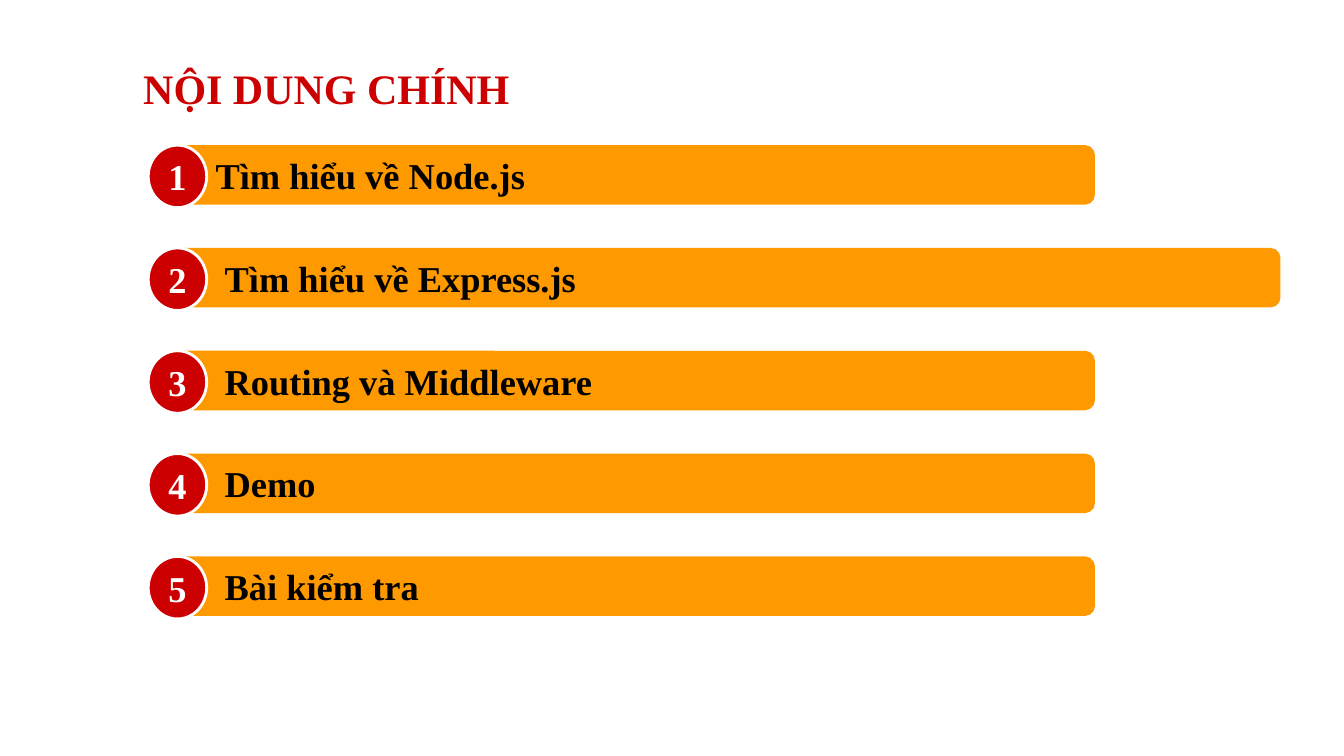
"""Build the agenda slide with a title and five numbered bars."""
import pptx
import pptx.dml.color
import pptx.enum.shapes
import pptx.enum.text
import pptx.util

SHAPE = pptx.enum.shapes.MSO_SHAPE
ALIGN = pptx.enum.text.PP_ALIGN
ANCHOR = pptx.enum.text.MSO_ANCHOR
FIT = pptx.enum.text.MSO_AUTO_SIZE
RED, ORANGE, WHITE, BLACK = "CC0000", "FF9900", "FFFFFF", "000000"
WIDE, NORMAL = 1102, 918
PITCH = 102
TOPICS = [
    ("Tìm hiểu về Node.js", NORMAL, 43),
    ("Tìm hiểu về Express.js", WIDE, 52),
    ("Routing và Middleware", NORMAL, 52),
    ("Demo", NORMAL, 52),
    ("Bài kiểm tra", NORMAL, 52),
]


def px(size):
    """Turn px, at 100 to the inch, into EMU."""
    return pptx.util.Emu(size * 9144)


def tint(color, code):
    """Set a color format from a hex string."""
    color.rgb = pptx.dml.color.RGBColor.from_string(code)


def assign(target, values):
    """Set each attribute named in a dict."""
    for name, value in values.items():
        setattr(target, name, value)


def write(shape, text, size, code, align, pads):
    """Put one bold line of text in a shape, with left, top, right, bottom pads."""
    frame = shape.text_frame
    sides = ("margin_left", "margin_top", "margin_right", "margin_bottom")
    assign(frame, dict(zip(sides, map(px, pads))))
    assign(frame, {"word_wrap": True, "auto_size": FIT.NONE,
                   "vertical_anchor": ANCHOR.MIDDLE})
    line = frame.paragraphs[0]
    line.alignment = align
    run = line.add_run()
    run.text = text
    assign(run.font, {"name": "Times New Roman", "bold": True,
                      "size": pptx.util.Pt(size)})
    tint(run.font.color, code)
    return line


def draw(group, kind, box, code):
    """Add a filled shape without line or shadow."""
    shape = group.shapes.add_shape(kind, *map(px, box))
    shape.shadow.inherit = False
    shape.fill.solid()
    tint(shape.fill.fore_color, code)
    shape.line.fill.background()
    return shape


def head(slide, box, text):
    """Place the slide title in its box."""
    title = slide.shapes.title
    assign(title, dict(zip(("left", "top", "width", "height"), map(px, box))))
    line = write(title, text, 30, RED, ALIGN.LEFT, (10, 5, 10, 5))
    line.line_spacing = 0.9


def item(slide, box, number, text, pad):
    """Group a topic bar with its number disc at the left of the box."""
    left, top, width, height = box
    group = slide.shapes.add_group_shape()
    bar = draw(group, SHAPE.ROUNDED_RECTANGLE,
               (left + 21, top, width, height), ORANGE)
    write(bar, text, 26, BLACK, ALIGN.LEFT, (pad, 2, 9, 2))
    disc = draw(group, SHAPE.OVAL, (left, top, 58, height + 3), RED)
    tint(disc.line.color, WHITE)
    disc.line.width = pptx.util.Pt(2)
    write(disc, str(number), 26, WHITE, ALIGN.CENTER, (0, 0, 0, 0))


def agenda(slide, left, top):
    """Stack the topics at an equal pitch."""
    for index, (text, width, pad) in enumerate(TOPICS):
        box = (left, top + index * PITCH, width, 59)
        item(slide, box, index + 1, text, pad)


def main():
    """Build and save the deck."""
    deck = pptx.Presentation()
    assign(deck, {"slide_width": px(1333), "slide_height": px(750)})
    slide = deck.slides.add_slide(deck.slide_layouts[5])
    head(slide, (132, 68, 734, 44), "NỘI DUNG CHÍNH")
    agenda(slide, 147, 144)
    deck.save("out.pptx")


if __name__ == "__main__":
    main()
